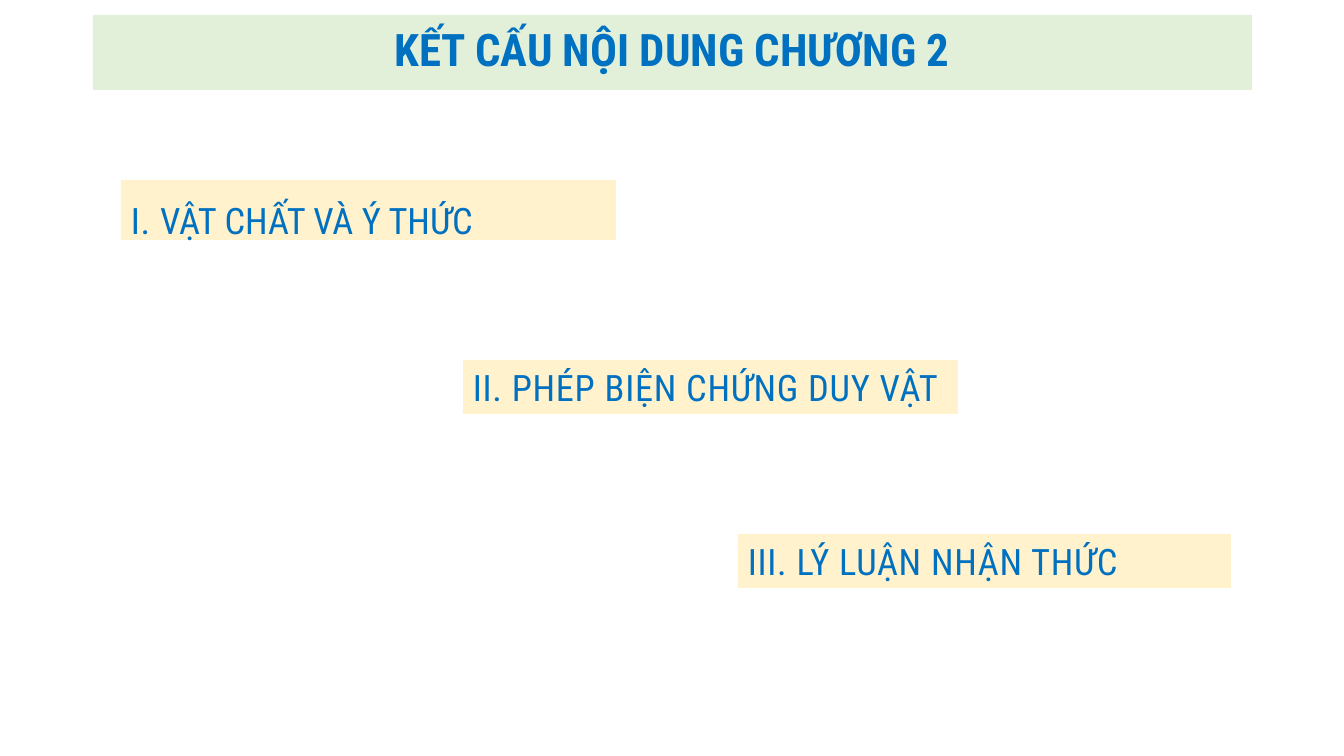
import pptx
import pptx.dml.color
import pptx.enum.text
import pptx.util

EMU_PER_PX = 12192000 / 1344
FONT = "Roboto Condensed"
COLORS = {"text": "0070C0", "title_fill": "E2F0D9", "section_fill": "FFF2CC"}
SECTIONS = [
    (121, 180, 495, 60, 1.3, [("I. ", 50), ("VẬT CHẤT VÀ Ý THỨC", 0)]),
    (463, 360, 495, 54, 1.0, [("II. PHÉP BIỆN CHỨNG DUY VẬT", 50)]),
    (738, 534, 493, 54, 1.0, [("III. LÝ LUẬN NHẬN THỨC", 50)]),
]


def px(n):
    return pptx.util.Emu(round(n * EMU_PER_PX))


def rgb(name):
    return pptx.dml.color.RGBColor.from_string(COLORS[name])


def add_filled_box(s, x, y, w, h, fill):
    sp = s.shapes.add_textbox(px(x), px(y), px(w), px(h))
    sp.fill.solid()
    sp.fill.fore_color.rgb = rgb(fill)
    sp.text_frame.word_wrap = True
    return sp.text_frame


def add_run(p, text, size, bold=False, spacing=0):
    r = p.add_run()
    r.text = text
    r.font.name = FONT
    r.font.size = pptx.util.Pt(size)
    r.font.bold = bold
    r.font.color.rgb = rgb("text")
    r.font._element.set("spc", str(spacing))


def add_title(s, text):
    tf = add_filled_box(s, 93, 15, 1159, 75, "title_fill")
    tf.vertical_anchor = pptx.enum.text.MSO_ANCHOR.MIDDLE
    p = tf.paragraphs[0]
    p.alignment = pptx.enum.text.PP_ALIGN.CENTER
    p.line_spacing = 0.9
    add_run(p, text, 32, bold=True)


def add_section(s, x, y, w, h, line_spacing, parts):
    tf = add_filled_box(s, x, y, w, h, "section_fill")
    tf.auto_size = pptx.enum.text.MSO_AUTO_SIZE.SHAPE_TO_FIT_TEXT
    p = tf.paragraphs[0]
    p.alignment = pptx.enum.text.PP_ALIGN.JUSTIFY
    p.line_spacing = line_spacing
    for text, spacing in parts:
        add_run(p, text, 26, spacing=spacing)


def main():
    prs = pptx.Presentation()
    prs.slide_width, prs.slide_height = px(1344), px(756)
    s = prs.slides.add_slide(prs.slide_layouts[6])
    add_title(s, "KẾT CẤU NỘI DUNG CHƯƠNG 2")
    for section in SECTIONS:
        add_section(s, *section)
    prs.save("out.pptx")


if __name__ == "__main__":
    main()
